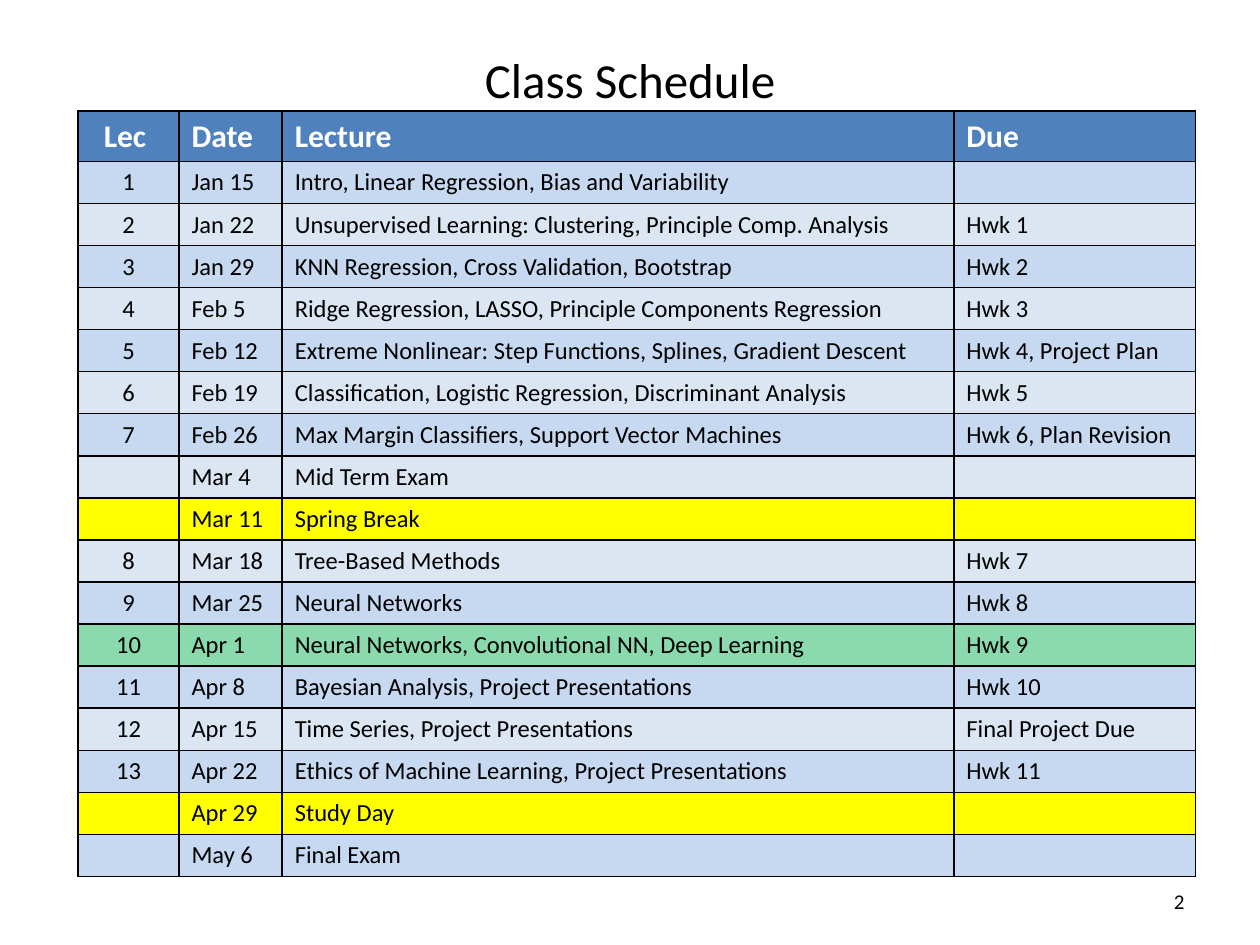
"""Build the class schedule slide: a title, a table of lectures and a page number."""
from lxml.etree import SubElement
from pptx import Presentation
from pptx.dml.color import RGBColor
from pptx.enum.text import MSO_ANCHOR as ANCHOR, PP_ALIGN as ALIGN
from pptx.oxml.ns import qn
from pptx.util import Inches, Pt

BLACK = RGBColor(0x00, 0x00, 0x00)
WHITE = RGBColor(0xFF, 0xFF, 0xFF)
HEADER_BLUE = RGBColor(0x4F, 0x81, 0xBD)
BAND_DARK = RGBColor(0xC6, 0xD9, 0xF1)
BAND_LIGHT = RGBColor(0xDC, 0xE6, 0xF2)
YELLOW = RGBColor(0xFF, 0xFF, 0x00)
GREEN = RGBColor(0x00, 0xB0, 0x50)

SCHEDULE = [
    ("Lec ", "Date", "Lecture", "Due"),
    ("1", "Jan 15", "Intro, Linear Regression, Bias and Variability", ""),
    ("2", "Jan 22", "Unsupervised Learning: Clustering, Principle Comp. Analysis", "Hwk 1"),
    ("3", "Jan 29", "KNN Regression, Cross Validation, Bootstrap", "Hwk 2"),
    ("4", "Feb 5", "Ridge Regression, LASSO, Principle Components Regression", "Hwk 3"),
    ("5", "Feb 12", "Extreme Nonlinear: Step Functions, Splines, Gradient Descent",
     "Hwk 4, Project Plan"),
    ("6", "Feb 19", "Classification, Logistic Regression, Discriminant Analysis", "Hwk 5"),
    ("7", "Feb 26", "Max Margin Classifiers, Support Vector Machines", "Hwk 6, Plan Revision"),
    ("", "Mar 4", "Mid Term Exam", ""),
    ("", "Mar 11", "Spring Break", ""),
    ("8", "Mar 18", "Tree-Based Methods", "Hwk 7"),
    ("9", "Mar 25", "Neural Networks", "Hwk 8"),
    ("10", "Apr 1", "Neural Networks, Convolutional NN, Deep Learning", "Hwk 9"),
    ("11", "Apr 8", "Bayesian Analysis, Project Presentations", "Hwk 10"),
    ("12", "Apr 15", "Time Series, Project Presentations", "Final Project Due"),
    ("13", "Apr 22", "Ethics of Machine Learning, Project Presentations", "Hwk 11"),
    ("", "Apr 29", "Study Day", ""),
    ("", "May 6", "Final Exam", ""),
]
HIGHLIGHTS = {"Date": HEADER_BLUE, "Mar 11": YELLOW, "Apr 1": GREEN, "Apr 29": YELLOW}
COLUMN_WIDTHS = (0.8, 0.82, 5.33, 1.92)
HEADER_HEIGHT, ROW_HEIGHT = 0.4, 0.33


def write(frame, text, size, color, align, bold=False):
    frame.text = text
    paragraph = frame.paragraphs[0]
    paragraph.alignment = align
    for run in paragraph.runs:
        run.font.name = "Calibri"
        run.font.size = Pt(size)
        run.font.bold = bold
        run.font.color.rgb = color
    if not text:
        SubElement(paragraph._p, qn("a:endParaRPr"), sz=str(size * 100))


def add_borders(cell):
    properties = cell._tc.get_or_add_tcPr()
    for side in ("a:lnL", "a:lnR", "a:lnT", "a:lnB"):
        line = SubElement(properties, qn(side), w=str(Pt(1)))
        SubElement(SubElement(line, qn("a:solidFill")), qn("a:srgbClr"), val=str(BLACK))


deck = Presentation()
deck.slide_width, deck.slide_height = Inches(10), Inches(7.5)
slide = deck.slides.add_slide(deck.slide_layouts[5])

title = slide.shapes.title
title.left, title.top = Inches(0.5), Inches(0)
title.width, title.height = Inches(9), Inches(1.25)
write(title.text_frame, "Class Schedule", 28, BLACK, ALIGN.CENTER)
title.text_frame.vertical_anchor = ANCHOR.MIDDLE

page_number = slide.shapes.add_textbox(Inches(7.17), Inches(6.95), Inches(2.33), Inches(0.4))
page_number.text_frame.word_wrap = True
page_number.text_frame.vertical_anchor = ANCHOR.MIDDLE
write(page_number.text_frame, "2", 12, BLACK, ALIGN.RIGHT)

schedule = slide.shapes.add_table(
    len(SCHEDULE), len(COLUMN_WIDTHS), Inches(0.62), Inches(0.88),
    Inches(sum(COLUMN_WIDTHS)), Inches(HEADER_HEIGHT + ROW_HEIGHT * (len(SCHEDULE) - 1)),
).table
schedule.horz_banding = False
for column, width in zip(schedule.columns, COLUMN_WIDTHS):
    column.width = Inches(width)

for r, entry in enumerate(SCHEDULE):
    is_header = r == 0
    schedule.rows[r].height = Inches(HEADER_HEIGHT if is_header else ROW_HEIGHT)
    band = BAND_DARK if r % 2 else BAND_LIGHT
    row_color = HIGHLIGHTS.get(entry[1], band)
    for c, text in enumerate(entry):
        cell = schedule.cell(r, c)
        add_borders(cell)
        cell.fill.solid()
        cell.fill.fore_color.rgb = row_color
        if row_color == GREEN:
            fill_color = cell._tc.tcPr.find(qn("a:solidFill")).find(qn("a:srgbClr"))
            SubElement(fill_color, qn("a:alpha"), val="46000")
        write(cell.text_frame, text, 18 if is_header else 14, WHITE if is_header else BLACK,
              ALIGN.CENTER if c == 0 else ALIGN.LEFT, bold=is_header)

deck.save("out.pptx")
